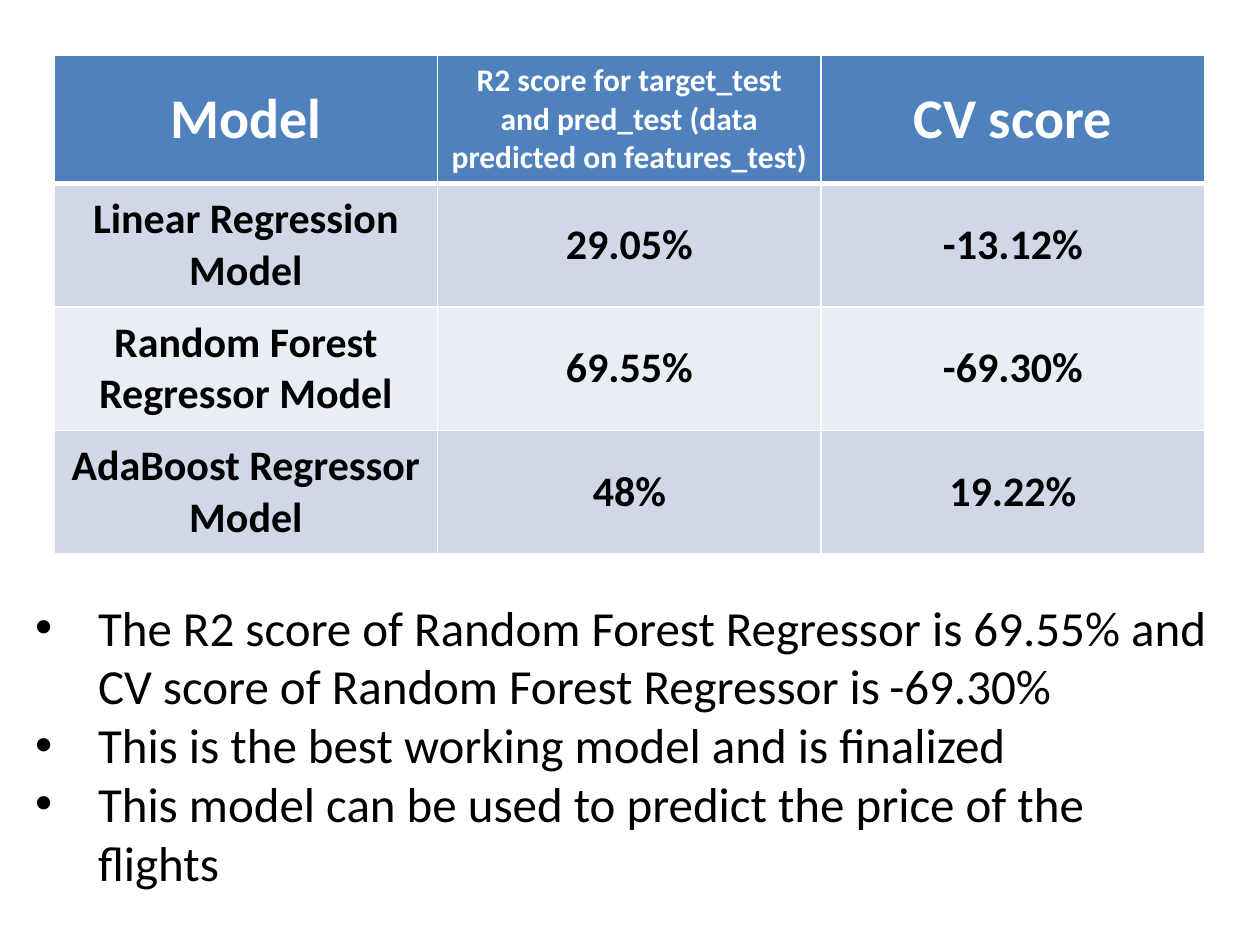
from lxml import etree
from pptx import Presentation
from pptx.dml.color import RGBColor
from pptx.enum import text
from pptx.oxml.ns import qn
from pptx.util import Inches, Pt

COLORS = {"header": "4F81BD", "odd": "D0D8E8", "even": "E9EDF4",
          "white": "FFFFFF", "black": "000000"}
FONT = "Calibri"
HEADERS = [("Model", 32),
           ("R2 score for target_test and pred_test (data predicted on features_test)", 18),
           ("CV score", 32)]
SCORES = [("Linear Regression Model", "29.05%", "-13.12%"),
          ("Random Forest Regressor Model", "69.55%", "-69.30%"),
          ("AdaBoost Regressor Model", "48%", "19.22%")]
BODY = {"size": 28, "bold": False}
FINDINGS = [
    [("The R2 score of Random Forest Regressor is 69.55% and CV score of "
      "Random Forest Regressor is", BODY),
     (" ", {"size": 24, "bold": True}),
     ("-69.30%", BODY)],
    [("This is the best working model and is finalized", BODY)],
    [("This model can be used to predict the price of the flights", BODY)],
]


def rgb(name):
    return RGBColor.from_string(COLORS[name])


def add_run(p, words, size, bold, color="black"):
    r = p.add_run()
    r.text = words
    for name, value in {"name": FONT, "size": Pt(size), "bold": bold}.items():
        setattr(r.font, name, value)
    r.font.color.rgb = rgb(color)


def set_borders(cell, widths):
    """Draw white cell borders; widths maps L, R, T, B (in that order) to points."""
    tc_pr = cell._tc.get_or_add_tcPr()
    for side, width in widths.items():
        ln = etree.SubElement(tc_pr, qn(f"a:ln{side}"), w=str(Pt(width)))
        fill = etree.SubElement(ln, qn("a:solidFill"))
        etree.SubElement(fill, qn("a:srgbClr"), val=COLORS["white"])


def fill_cell(cell, words, size, color, fill, top=1, bottom=1):
    set_borders(cell, {"L": 1, "R": 1, "T": top, "B": bottom})
    cell.fill.solid()
    cell.fill.fore_color.rgb = rgb(fill)
    cell.vertical_anchor = text.MSO_ANCHOR.MIDDLE
    p = cell.text_frame.paragraphs[0]
    p.alignment = text.PP_ALIGN.CENTER
    add_run(p, words, size, True, color)


def add_score_table(s):
    table = s.shapes.add_table(len(SCORES) + 1, len(HEADERS), Inches(0.43), Inches(0.44),
                               Inches(9.13), Inches(3.94)).table
    for row in table.rows:
        row.height = Inches(0.98)
    for col, (words, size) in enumerate(HEADERS):
        fill_cell(table.cell(0, col), words, size, "white", "header", bottom=3)
    table.cell(0, 1).vertical_anchor = text.MSO_ANCHOR.TOP
    for row, values in enumerate(SCORES, 1):
        for col, words in enumerate(values):
            fill_cell(table.cell(row, col), words, 24, "black",
                      "odd" if row % 2 else "even", top=3 if row == 1 else 1)


def add_bullet(p):
    p_pr = p._p.get_or_add_pPr()
    p_pr.set("marL", str(Inches(0.5)))
    p_pr.set("indent", str(Inches(-0.5)))
    etree.SubElement(p_pr, qn("a:buFont"), typeface="Arial")
    etree.SubElement(p_pr, qn("a:buChar"), char="•")


def add_findings(s):
    tf = s.shapes.add_textbox(Inches(0.18), Inches(4.69),
                              Inches(9.53), Inches(2.46)).text_frame
    tf.word_wrap = True
    tf.auto_size = text.MSO_AUTO_SIZE.SHAPE_TO_FIT_TEXT
    for i, runs in enumerate(FINDINGS):
        p = tf.add_paragraph() if i else tf.paragraphs[0]
        add_bullet(p)
        for words, style in runs:
            add_run(p, words, **style)


def main():
    prs = Presentation()
    prs.slide_width, prs.slide_height = Inches(10), Inches(7.5)
    s = prs.slides.add_slide(prs.slide_layouts[6])
    add_score_table(s)
    add_findings(s)
    prs.save("out.pptx")


if __name__ == "__main__":
    main()
